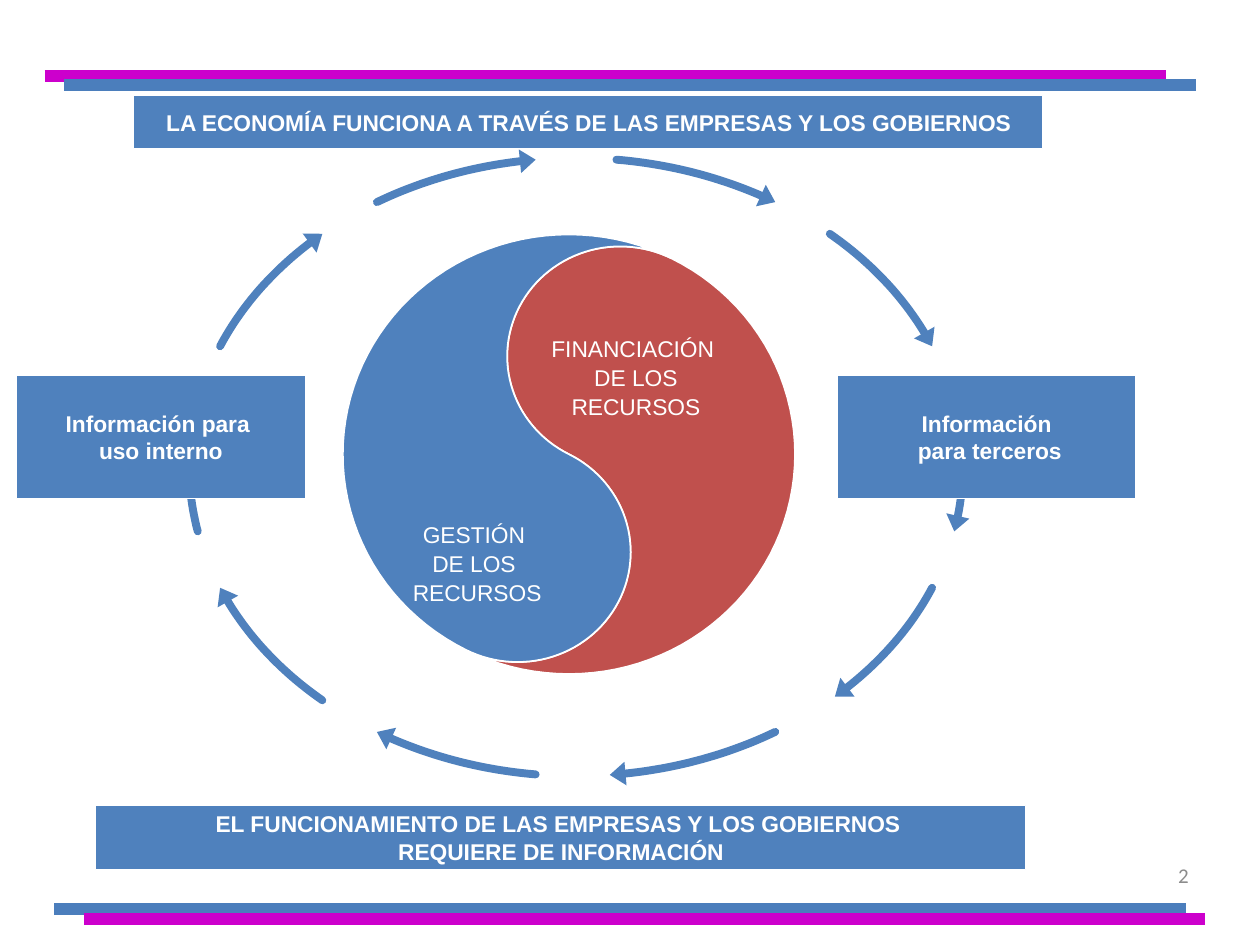
import copy
import math
from dataclasses import dataclass

import pptx
import pptx.dml.color
import pptx.enum.shapes
import pptx.enum.text
import pptx.oxml
import pptx.oxml.ns
import pptx.util

Pt = pptx.util.Pt
Align = pptx.enum.text.PP_ALIGN
Anchor = pptx.enum.text.MSO_ANCHOR
BLUE, RED, WHITE = "4F81BD", "C0504D", "FFFFFF"
BAR_BLUE, MAGENTA, GRAY = "4B7EBC", "CC00CC", "8C8C8C"


@dataclass
class Box:
    text: str
    left: float
    top: float
    width: float
    height: float


@dataclass
class Bar:
    left: float
    right: float
    y: float
    color: str


@dataclass
class Ellipse:
    x: float
    y: float
    rx: float
    ry: float

    def arc(self, start: float, end: float, steps: int = 24) -> list[tuple[float, float]]:
        """Points between two angles, in degrees clockwise from the top."""
        angles = [math.radians(start + (end - start) * i / steps) for i in range(steps + 1)]
        return [(self.x + self.rx * math.sin(a), self.y - self.ry * math.cos(a)) for a in angles]


def rgb(color: str) -> pptx.dml.color.RGBColor:
    return pptx.dml.color.RGBColor.from_string(color)


def write(shape, text: str, size=13, font="Arial", color=WHITE, bold=False,
          align=Align.CENTER, anchor=Anchor.MIDDLE, inset=3.0, spacing=1.0, wrap=True) -> None:
    frame = shape.text_frame
    frame.text = text
    frame.auto_size = pptx.enum.text.MSO_AUTO_SIZE.NONE
    frame.word_wrap = wrap
    frame.vertical_anchor = anchor
    frame.margin_left = frame.margin_right = Pt(inset)
    frame.margin_top = frame.margin_bottom = Pt(inset)
    for paragraph in frame.paragraphs:
        paragraph.alignment = align
        paragraph.line_spacing = spacing
        for run in paragraph.runs:
            run.font.size = Pt(size)
            run.font.name = font
            run.font.bold = bold
            run.font.color.rgb = rgb(color)


def paint(shape, fill: str, line: str, width: float) -> None:
    shape.fill.solid()
    shape.fill.fore_color.rgb = rgb(fill)
    shape.line.color.rgb = rgb(line)
    shape.line.width = Pt(width)


def format_box(shape, box: Box) -> None:
    shape.left, shape.top = Pt(box.left), Pt(box.top)
    shape.width, shape.height = Pt(box.width), Pt(box.height)
    paint(shape, BLUE, WHITE, 0.5)
    write(shape, box.text, bold=True)


def add_box(slide, box: Box) -> None:
    shape = slide.shapes.add_shape(pptx.enum.shapes.MSO_SHAPE.RECTANGLE, 0, 0, 0, 0)
    shape.shadow.inherit = False
    format_box(shape, box)


def add_label(slide, box: Box, **text_format) -> None:
    label = slide.shapes.add_textbox(Pt(box.left), Pt(box.top), Pt(box.width), Pt(box.height))
    write(label, box.text, **text_format)


def add_outline(slide, points: list[tuple[float, float]]):
    points = [(Pt(x), Pt(y)) for x, y in points]
    builder = slide.shapes.build_freeform(*points[0])
    builder.add_line_segments(points[1:], close=True)
    shape = builder.convert_to_shape()
    shape.shadow.inherit = False
    return shape


def add_half(slide, disc: Ellipse, tip: float, fill: str) -> None:
    """Half of the divided disc, whose upper lobe starts at the tip angle."""
    dx = disc.rx / 2 * math.sin(math.radians(tip))
    dy = disc.ry / 2 * math.cos(math.radians(tip))
    near = Ellipse(disc.x + dx, disc.y - dy, disc.rx / 2, disc.ry / 2)
    far = Ellipse(disc.x - dx, disc.y + dy, disc.rx / 2, disc.ry / 2)
    points = near.arc(tip, tip - 180, 60) + far.arc(tip, tip + 180, 60)[1:]
    points += disc.arc(tip + 180, tip, 60)[1:-1]
    paint(add_outline(slide, points), fill, WHITE, 1)


def add_arc_arrow(slide, ring: Ellipse, start: float, end: float) -> None:
    """Sector of the ring where only the curved edge is stroked."""
    arrow = add_outline(slide, ring.arc(start, end) + [(ring.x, ring.y)])
    arrow.fill.background()
    arrow.line.color.rgb = rgb(BLUE)
    arrow.line.width = Pt(4.5)
    line = arrow.line._get_or_add_ln()
    line.set("cap", "rnd")
    line.append(pptx.oxml.parse_xml(
        f'<a:tailEnd {pptx.oxml.ns.nsdecls("a")} type="triangle" w="med" len="sm"/>'))
    edge = arrow._element.find(".//" + pptx.oxml.ns.qn("a:path"))
    sector = copy.deepcopy(edge)
    sector.set("stroke", "0")
    edge.set("fill", "none")
    for to_center in list(edge)[-2:]:
        edge.remove(to_center)
    edge.addnext(sector)


def add_bar(slide, bar: Bar) -> None:
    line = slide.shapes.add_connector(
        pptx.enum.shapes.MSO_CONNECTOR.STRAIGHT, Pt(bar.left), Pt(bar.y), Pt(bar.right), Pt(bar.y))
    line.line.color.rgb = rgb(bar.color)
    line.line.width = Pt(6.75)
    effects = pptx.oxml.parse_xml(f'<a:effectLst {pptx.oxml.ns.nsdecls("a")}/>')
    line._element.spPr.append(effects)


HEADING = Box("LA ECONOMÍA FUNCIONA A TRAVÉS DE LAS EMPRESAS Y LOS GOBIERNOS",
              76.5, 54.7, 519.2, 30.2)
BOXES = [
    Box("EL FUNCIONAMIENTO DE LAS EMPRESAS Y LOS GOBIERNOS \nREQUIERE DE INFORMACIÓN",
        54.7, 460.2, 531.4, 36.7),
    Box("Información\n para terceros", 478.8, 214.6, 169.9, 70.2),
    Box("Información para \nuso interno", 9.4, 214.6, 164.9, 70.2),
]
LABELS = [
    Box("FINANCIACIÓN \nDE LOS\nRECURSOS", 314.4, 190.4, 97.9, 50.4),
    Box("GESTIÓN \nDE LOS \nRECURSOS", 234.8, 296.6, 75.6, 50.4),
]
BARS = [
    Bar(31, 677.5, 519.4, BAR_BLUE),
    Bar(48.2, 688.7, 525.2, MAGENTA),
    Bar(25.5, 666, 43.2, MAGENTA),
    Bar(36.7, 683.3, 48.8, BAR_BLUE),
]
PAGE_NUMBER = Box("2", 518.6, 485.6, 167.8, 28.8)
DISC = Ellipse(325.1, 259.6, 129.2, 125.6)
RING = Ellipse(329.2, 266.9, 221, 176.6)
DISC_TIP = 27
ARROW_STARTS = (6, 41, 77, 113, 149, 186, 221, 258, 293, 329)
ARROW_ENDS = (31, 67, 102, 138, 175, 211, 247, 283, 319, 354)


def main() -> None:
    deck = pptx.Presentation()
    deck.slide_width, deck.slide_height = Pt(720), Pt(540)
    slide = deck.slides.add_slide(deck.slide_layouts[5])

    # Heading
    format_box(slide.shapes.title, HEADING)

    # Divided disc with its two labels
    add_half(slide, DISC, DISC_TIP, RED)
    add_half(slide, DISC, DISC_TIP + 180, BLUE)
    for label in LABELS:
        add_label(slide, label, anchor=Anchor.TOP, inset=0, spacing=1.06, wrap=False)

    # Ring of arrows, partly covered by the boxes
    for start, end in zip(ARROW_STARTS, ARROW_ENDS):
        add_arc_arrow(slide, RING, start, end)
    for box in BOXES:
        add_box(slide, box)

    # Bars and page number
    for bar in BARS:
        add_bar(slide, bar)
    add_label(slide, PAGE_NUMBER, size=12, font="Calibri", color=GRAY, align=Align.RIGHT, inset=7.2)

    deck.save("out.pptx")


if __name__ == "__main__":
    main()
